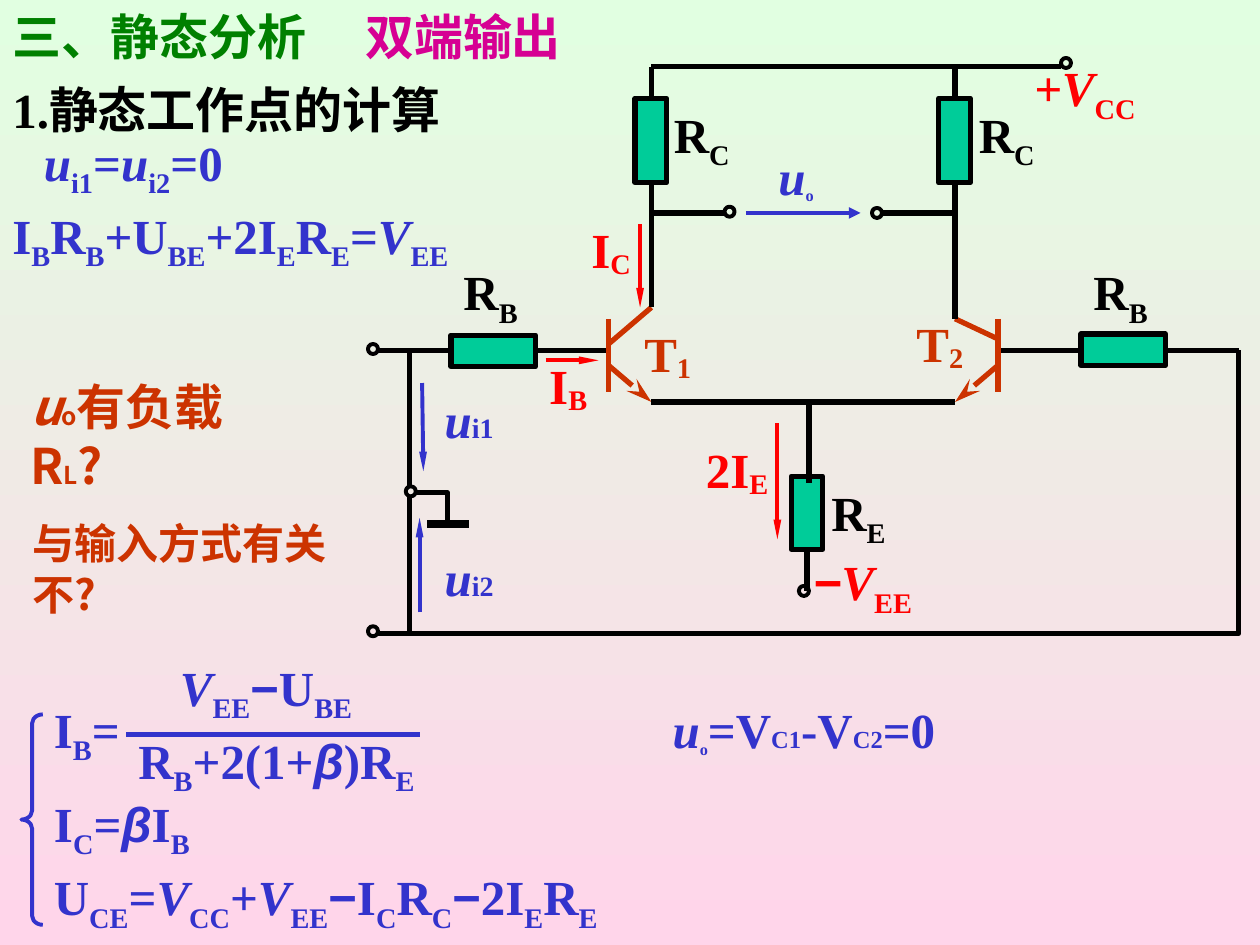
"""Build the slide on the static analysis of a differential amplifier."""
from typing import NamedTuple, Optional

from lxml import etree
from pptx import Presentation
from pptx import util as u
from pptx.dml.color import RGBColor
from pptx.enum import shapes, text
from pptx.oxml import ns

COLS, ROWS = 100, 75
TIMES, ARIAL, SANS = "Times New Roman", "Arial", "Noto Sans CJK SC"
HUES = {
    "top": "E1FFE1", "base": "FFD5EA", "blue": "3333CC", "black": "000000",
    "red": "FF0000", "rust": "CC3300", "green": "008000", "pink": "D60093",
    "teal": "00CC99",
}


class Style(NamedTuple):
    """Say how a run differs from plain text."""
    size: Optional[int] = None
    drop: int = 0
    slant: bool = False
    face: Optional[str] = None


MARKS = {
    "_": Style(drop=25), "`": Style(drop=12), "/": Style(slant=True),
    "~": Style(face=ARIAL), "*": Style(slant=True, face=ARIAL),
    ",": Style(size=16, drop=25), ">": Style(size=16), "<": Style(size=14),
}


class Label(NamedTuple):
    """Hold a text box; each word of runs is one run, led by its mark."""
    col: float
    row: float
    wide: float
    high: float
    runs: str
    hue: str = "blue"
    mid: bool = False
    size: int = 28
    face: str = TIMES


class Wire(NamedTuple):
    """Hold a straight line with an optional arrowhead (type, width, length)."""
    x: float
    y: float
    to_x: float
    to_y: float
    hue: str = "black"
    thick: float = 3
    head: Optional[tuple] = None


class Part(NamedTuple):
    """Hold a resistor body."""
    col: float
    row: float
    wide: float
    high: float


SLIM, EVEN, DART = ("triangle", "sm", "lg"), ("triangle", "med", "med"), ("stealth", "med", "lg")
LEFT, RIGHT, TOP, RAIL, TAIL, OUT = 51.7, 75.8, 5.3, 27.8, 31.9, 16.9

WIRES = [
    Wire(10, 58.3, 33.3, 58.3, "blue"),
    Wire(32.5, RAIL, 32.5, 38.6), Wire(32.5, 39.4, 32.5, 50.3),
    Wire(30, RAIL, 48.3, RAIL), Wire(79.2, RAIL, 98.3, RAIL),
    Wire(48.3, 25.3, 48.3, 31.1, "rust"), Wire(48.3, 27.3, LEFT, 24.4, "rust"),
    Wire(48.3, 29, LEFT, TAIL, "rust", 3, DART),
    Wire(79.2, 25.3, 79.2, 31.1, "rust"), Wire(79.2, 26.9, RIGHT, 25.3, "rust"),
    Wire(79.2, 29, RIGHT, TAIL, "rust", 3, DART),
    Wire(LEFT, 24.4, LEFT, TOP), Wire(RIGHT, TOP, RIGHT, 25.3),
    Wire(LEFT, TOP, 84.2, TOP), Wire(LEFT, TAIL, RIGHT, TAIL),
    Wire(LEFT, OUT, 57.5, OUT), Wire(70, OUT, RIGHT, OUT),
    Wire(59.2, OUT, 68.3, OUT, "blue", 2.25, EVEN),
    Wire(33.9, 41.6, 37.2, 41.6, "black", 4.5),
    Wire(43.3, 28.6, 47.5, 28.6, "red", 2.25, SLIM),
    Wire(61.7, 33.6, 61.7, 42.8, "red", 2.25, SLIM),
    Wire(50.8, 17.8, 50.8, 24.4, "red", 2.25, SLIM),
    Wire(33.3, 48.6, 33.3, 41.1, "blue", 2.25, SLIM),
    Wire(33.5, 30.4, 33.6, 37.4, "blue", 2.25, SLIM),
]
PARTS = [
    Part(50.4, 7.8, 2.5, 6.7), Part(74.5, 7.8, 2.5, 6.7),
    Part(35.8, 26.6, 6.7, 2.5), Part(85.8, 26.5, 6.7, 2.5),
]
LOAD = Part(62.8, 37.8, 2.5, 5.8)
NODES = [(84.2, 4.6), (57.5, 16.4), (69.2, 16.5), (63.4, 46.5),
         (29.2, 27.3), (29.2, 49.7), (32.2, 38.6)]
BENDS = [[(98.3, RAIL), (98.3, 50.3), (30, 50.3)],
         [(33, 39.1), (35.5, 39.1), (35.5, 41.6)]]
LABELS = [
    Label(0, 0, 35.8, 5.7, "三、静态分析", "green"),
    Label(28, 0, 22.8, 5.7, "双端输出", "pink"),
    Label(0, 5.8, 43.3, 5.7, "1.静态工作点的计算", "black"),
    Label(2.5, 10, 20.8, 6.3, "/u _i1 = /u _i2 =0"),
    Label(0, 15.8, 43.3, 6.3, "I _B R _B +U _BE +2I _E R _E = /V _EE"),
    Label(3.3, 55, 8.3, 6.3, "I _B ="),
    Label(13.3, 51.7, 18.3, 6.3, "/V _EE ~− U _BE"),
    Label(10, 57.5, 25.8, 6.3, "R _B +2(1+ *β )R _E"),
    Label(3.3, 62.5, 15.8, 6.3, "I _C = *β I _B"),
    Label(3.3, 68.3, 48.3, 6.3,
          "U _CE = /V _CC + /V _EE ~− I _C R _C ~− 2I _E R _E"),
    Label(52.4, 55, 44.1, 5.7, "/u ,o =V <C1 -V <C2 =0"),
    Label(60.8, 11.1, 8.3, 5.7, "/u ,o"),
    Label(34.3, 30.4, 6.5, 5.7, "/u >i1"), Label(34.3, 43, 6.5, 5.7, "/u >i2"),
    Label(52.5, 7.8, 7.5, 6.3, "R _C", "black"), Label(76.7, 7.8, 7.5, 6.3, "R _C", "black"),
    Label(35.8, 20.3, 7.5, 6.3, "R _B", "black"), Label(85.8, 20.3, 7.5, 6.3, "R _B", "black"),
    Label(65, 37.8, 7.5, 6.3, "R _E", "black"),
    Label(49.5, 25.2, 7, 5.8, "T `1", "rust", True),
    Label(71.1, 24.4, 7, 5.8, "T `2", "rust", True),
    Label(80.1, 4.1, 12, 6.3, "/+V _CC", "red", True),
    Label(63.3, 43.3, 10.3, 6.3, "*− /V _EE", "red", True),
    Label(41.6, 27.7, 7, 5.8, "I `B", "red", True),
    Label(54, 34.4, 9, 5.8, "2I `E", "red", True),
    Label(45, 16.9, 7, 5.8, "I `C", "red", True),
    Label(1.4, 29.4, 24.1, 5.7, "/u <o 有负载 | R <L ?", "rust", False, 28, SANS),
    Label(1.6, 40.6, 31, 5, "与输入方式有关 | 不?", "rust", False, 24, SANS),
]

deck = Presentation()
deck.slide_width, deck.slide_height = u.Inches(10), u.Inches(7.5)
slide = deck.slides.add_slide(deck.slide_layouts[6])


def hue(name: str) -> RGBColor:
    """Look up a colour."""
    return RGBColor.from_string(HUES[name])


def spot(col: float, row: float) -> tuple:
    """Turn grid columns and rows into slide lengths."""
    return round(deck.slide_width * col / COLS), round(deck.slide_height * row / ROWS)


def paint() -> None:
    """Fill the background from top to bottom."""
    fill = slide.background.fill
    fill.gradient()
    fill.gradient_angle = 270
    for stop, name in zip(fill.gradient_stops, ("top", "base")):
        stop.color.rgb = hue(name)


def draw_wire(wire: Wire):
    """Draw a line and its arrowhead."""
    line = slide.shapes.add_connector(
        shapes.MSO_CONNECTOR.STRAIGHT, *spot(wire.x, wire.y), *spot(wire.to_x, wire.to_y))
    line.line.color.rgb = hue(wire.hue)
    line.line.width = u.Pt(wire.thick)
    props = line._element.spPr
    if wire.head:
        kind, wide, span = wire.head
        etree.SubElement(props.find(ns.qn("a:ln")), ns.qn("a:tailEnd"), type=kind, w=wide, len=span)
    etree.SubElement(props, ns.qn("a:effectLst"))
    return line


def dress(shape, thick: float, edge: str = "black", fill: Optional[str] = None):
    """Set the outline and fill of a shape."""
    shape.shadow.inherit = False
    shape.line.color.rgb = hue(edge)
    shape.line.width = u.Pt(thick)
    if fill:
        shape.fill.solid()
        shape.fill.fore_color.rgb = hue(fill)
    else:
        shape.fill.background()
    return shape


def draw_part(part: Part):
    """Draw a resistor."""
    box = slide.shapes.add_shape(
        shapes.MSO_SHAPE.RECTANGLE, *spot(part.col, part.row), *spot(part.wide, part.high))
    return dress(box, 3, fill="teal")


def draw_bend(dots: list) -> None:
    """Draw a wire with corners."""
    pen = slide.shapes.build_freeform(*spot(*dots[0]))
    pen.add_line_segments([spot(*dot) for dot in dots[1:]], close=False)
    dress(pen.convert_to_shape(), 3)


def write(label: Label) -> None:
    """Write a label run by run."""
    box = slide.shapes.add_textbox(*spot(label.col, label.row), *spot(label.wide, label.high))
    frame = box.text_frame
    frame.word_wrap = True
    frame.auto_size = text.MSO_AUTO_SIZE.SHAPE_TO_FIT_TEXT
    para = frame.paragraphs[0]
    if label.mid:
        frame.vertical_anchor = text.MSO_ANCHOR.MIDDLE
        para.alignment = text.PP_ALIGN.CENTER
    for word in label.runs.split():
        if word == "|":
            para.add_line_break()
            continue
        style = MARKS.get(word[0], Style())
        run = para.add_run()
        run.text = word[1:] if word[0] in MARKS else word
        font = run.font
        font.size = u.Pt(style.size or label.size)
        font.name = style.face or label.face
        font.bold, font.italic = True, style.slant
        font.color.rgb = hue(label.hue)
        if style.drop:
            run._r.get_or_add_rPr().set("baseline", str(-1000 * style.drop))


def main() -> None:
    """Draw the slide and save it."""
    paint()
    for wire in WIRES:
        draw_wire(wire)
    for part in PARTS:
        draw_part(part)
    load = draw_part(LOAD)
    draw_wire(Wire(64.05, 46.9, 64.05, 43.6)).end_connect(load, 2)
    draw_wire(Wire(64.2, 38.3, 64.2, TAIL))
    for node in NODES:
        dress(slide.shapes.add_shape(shapes.MSO_SHAPE.OVAL, *spot(*node), *spot(0.8, 0.8)), 2.25)
    for bend in BENDS:
        draw_bend(bend)
    brace = slide.shapes.add_shape(shapes.MSO_SHAPE.LEFT_BRACE, *spot(1.7, 56.7), *spot(1.7, 16.7))
    brace.adjustments[0] = 0.42
    dress(brace, 2.25, "blue")
    for label in LABELS:
        write(label)
    deck.save("out.pptx")


if __name__ == "__main__":
    main()
